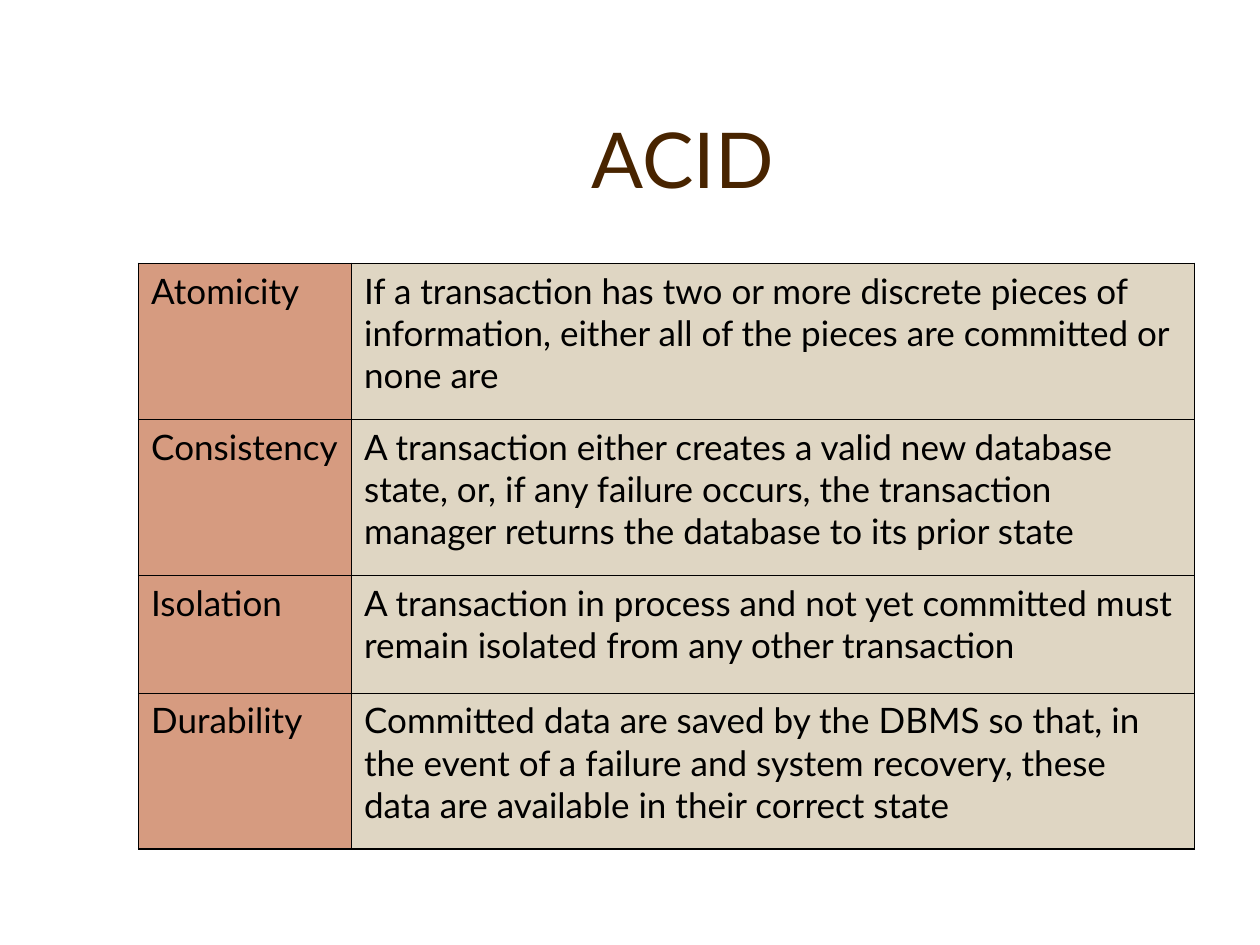
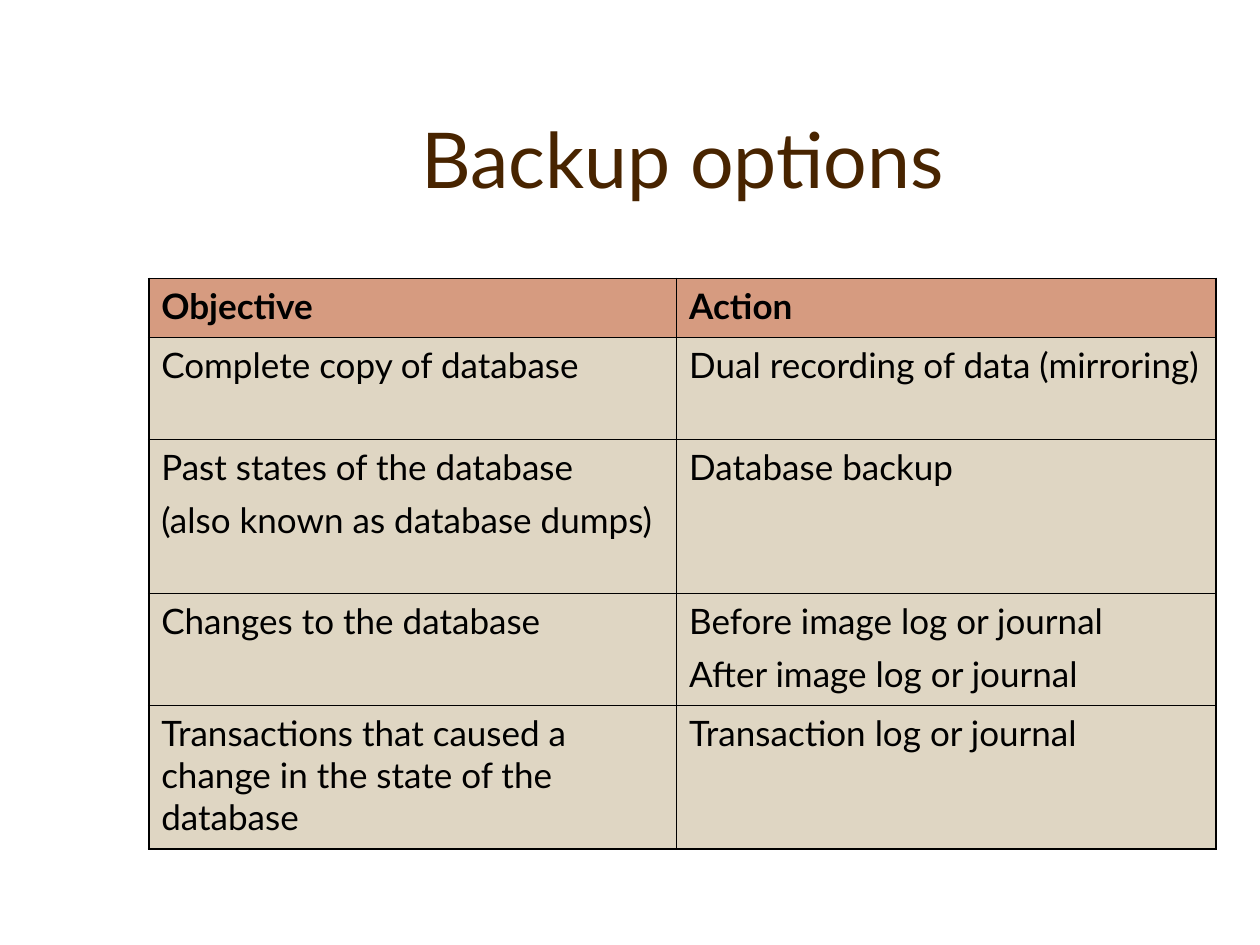
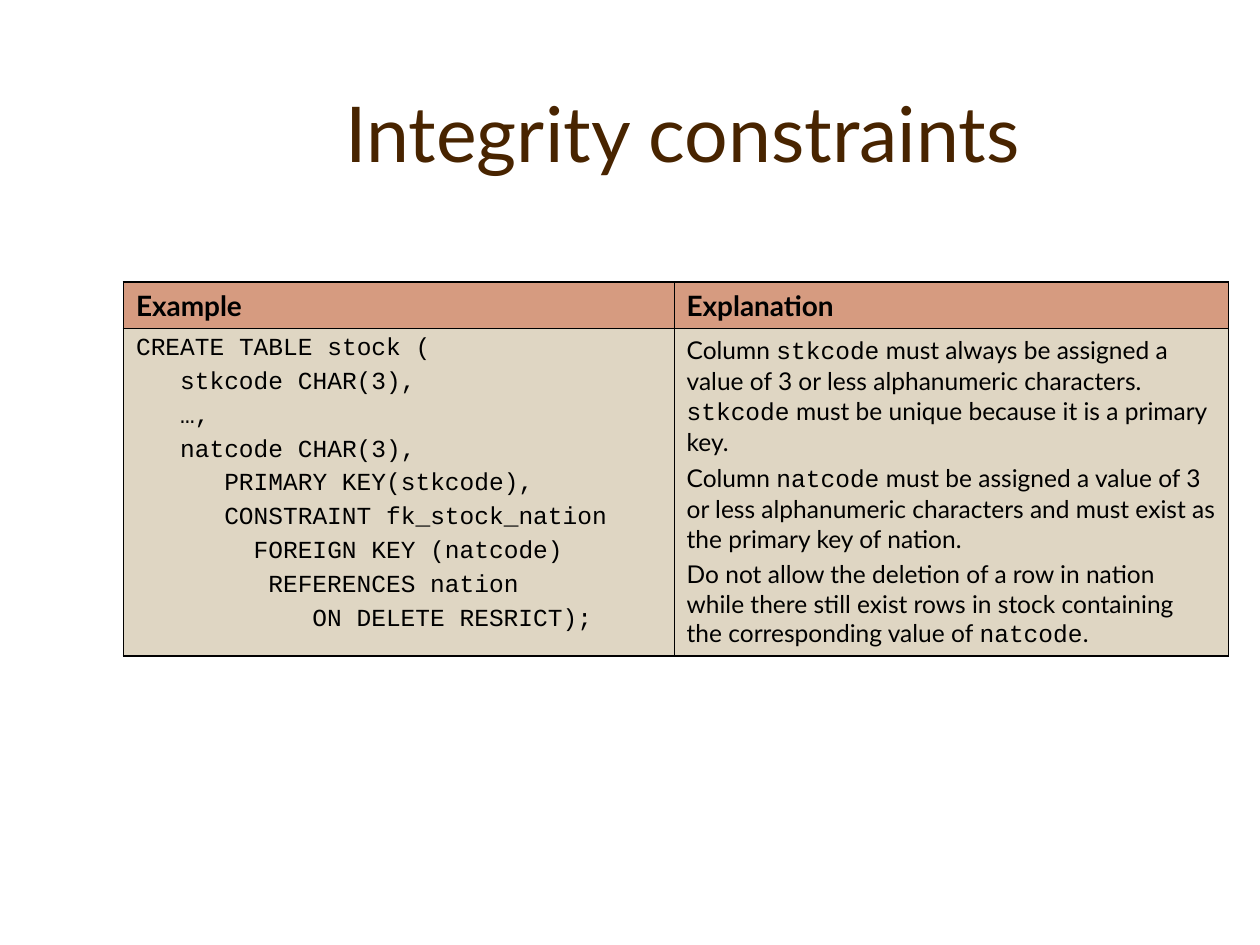
from lxml import etree
from pptx import Presentation
from pptx import util as u
from pptx.dml.color import RGBColor
from pptx.enum import text
from pptx.oxml import ns

BROWN = RGBColor(0x48, 0x24, 0x00)
BLACK = RGBColor(0, 0, 0)
SALMON = RGBColor(0xD6, 0x9B, 0x80)
SAND = RGBColor(0xDF, 0xD6, 0xC3)
BODY_FONT, CODE_FONT = "Lato", "Courier New"
THIN, THICK = u.Pt(0.45), u.Pt(1.08)

prs = Presentation()
prs.slide_width, prs.slide_height = u.Inches(10), u.Inches(7.5)


def add_border(cell, side, width):
    ln = etree.SubElement(cell._tc.get_or_add_tcPr(), ns.qn("a:ln" + side), w=str(width))
    fill = etree.SubElement(ln, ns.qn("a:solidFill"))
    etree.SubElement(fill, ns.qn("a:srgbClr"), val=str(BLACK))


def add_table_slide(title, rows, left, top, widths, heights, sizes=(20, 20),
                    header_row=True, spacing=None, anchor=text.MSO_ANCHOR.BOTTOM):
    """Cells hold one paragraph per line; words between backticks are code."""
    s = prs.slides.add_slide(prs.slide_layouts[5])

    # Title
    sp = s.shapes.title
    sp.left, sp.top = u.Inches(1.17), u.Inches(0.42)
    sp.width, sp.height = u.Inches(8.5), u.Inches(1.25)
    tf = sp.text_frame
    tf.text = title
    tf.auto_size = text.MSO_AUTO_SIZE.NONE
    tf.vertical_anchor = anchor
    p = tf.paragraphs[0]
    p.alignment = text.PP_ALIGN.CENTER
    p.font.name, p.font.size, p.font.color.rgb = BODY_FONT, u.Pt(44), BROWN

    # Table
    last_row, last_col = len(rows) - 1, len(widths) - 1
    table = s.shapes.add_table(len(rows), len(widths), u.Inches(left), u.Inches(top),
                               u.Inches(sum(widths)), u.Inches(sum(heights))).table
    table.first_row = table.horz_banding = False
    for col, width in zip(table.columns, widths):
        col.width = u.Inches(width)
    for row, height in zip(table.rows, heights):
        row.height = u.Inches(height)

    for i, row in enumerate(rows):
        size = sizes[min(i, 1)]
        for j, content in enumerate(row):
            cell = table.cell(i, j)
            outer = {"L": j == 0, "R": j == last_col, "T": i == 0, "B": i == last_row}
            for side, is_outer in outer.items():
                add_border(cell, side, THICK if is_outer else THIN)
            cell.fill.solid()
            cell.fill.fore_color.rgb = SALMON if (i if header_row else j) == 0 else SAND

            tf = cell.text_frame
            for n, line in enumerate(content.split("\n")):
                p = tf.add_paragraph() if n else tf.paragraphs[0]
                p.space_before = u.Pt(spacing or size / 4)
                p.space_after = u.Pt(spacing or 0)
                p.font.name, p.font.size, p.font.color.rgb = BODY_FONT, u.Pt(size), BLACK
                p.font.bold = header_row and i == 0
                for k, part in enumerate(line.lstrip().split("`")):
                    r = p.add_run()
                    r.text = part
                    if k % 2:
                        r.font.name = CODE_FONT
    return table


# Slide 1: transaction properties
acid = [
    ("Atomicity", "If a transaction has two or more discrete pieces of information, "
                  "either all of the pieces are committed or none are"),
    ("Consistency", "A transaction either creates a valid new database state, or, if any failure "
                    "occurs, the transaction manager returns the database to its prior state"),
    ("Isolation", "A transaction in process and not yet committed must remain isolated "
                  "from any other transaction"),
    ("Durability", "Committed data are saved by the DBMS so that, in the event of a failure and "
                   "system recovery, these data are available in their correct state"),
]
add_table_slide("ACID", acid, 1.1, 2.09, (1.69, 6.69), (1.24, 1.24, 0.93, 1.24),
                header_row=False)

# Slide 2: backup options
backups = [
    ("Objective", "Action"),
    ("Complete copy of database", "Dual recording of data (mirroring)"),
    ("Past states of the database\n(also known as database dumps)", "Database backup"),
    ("Changes to the database", "Before image log or journal\nAfter image log or journal"),
    ("Transactions that caused a change in the state of the database",
     "Transaction log or journal"),
]
add_table_slide("Backup options", backups, 1.18, 2.21, (4.19, 4.28),
                (0.47, 0.81, 1.22, 0.89, 1.14), spacing=3)

# Slide 3: integrity constraints
sql = """CREATE TABLE stock (
   stkcode CHAR(3),
   …,
   natcode CHAR(3),
      PRIMARY KEY(stkcode),
      CONSTRAINT fk_stock_nation
        FOREIGN KEY (natcode)
         REFERENCES nation
            ON DELETE RESRICT);"""
explanation = (
    "Column `stkcode` must always be assigned a value of 3 or less alphanumeric characters. "
    "`stkcode` must be unique because it is a primary key.\n"
    "Column `natcode` must be assigned a value of 3 or less alphanumeric characters "
    "and must exist as the primary key of nation.\n"
    "Do not allow the deletion of a row in nation while there still exist rows in stock "
    "containing the corresponding value of `natcode`."
)
table = add_table_slide("Integrity constraints",
                        [("Example", "Explanation"), (sql, explanation)],
                        0.98, 2.24, (4.37, 4.4), (0.37, 2.59), sizes=(16, 14),
                        anchor=text.MSO_ANCHOR.MIDDLE)

# Code font, with each line indented by whole character widths
char_width = u.Pt(14 * 0.6)
for p, line in zip(table.cell(1, 0).text_frame.paragraphs, sql.split("\n")):
    p.font.name = CODE_FONT
    indent = len(line) - len(line.lstrip())
    p._p.get_or_add_pPr().set("marL", str(indent * char_width))

prs.save("out.pptx")
